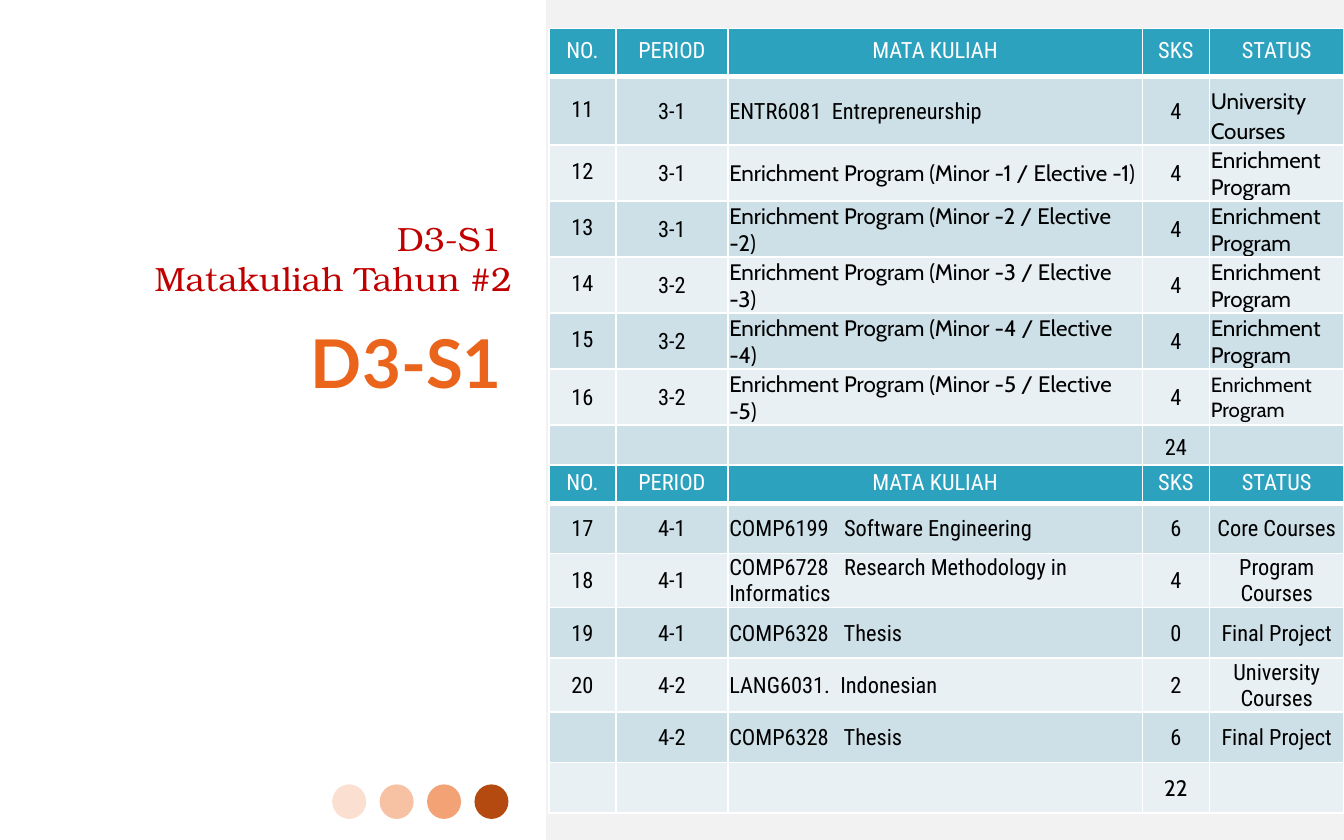
import pptx
import pptx.util
import pptx.dml.color
import pptx.enum.shapes
import pptx.enum.text
import pptx.oxml

Pt = pptx.util.Pt
ALIGN = pptx.enum.text.PP_ALIGN
ANCHOR = pptx.enum.text.MSO_ANCHOR
SHAPE = pptx.enum.shapes.MSO_SHAPE
NS = 'xmlns:a="http://schemas.openxmlformats.org/drawingml/2006/main"'


class Theme:
    panel, white, black = "F2F2F2", "FFFFFF", "000000"
    title, accent = "C00000", "EB641B"
    head, bands = "2DA2BF", ("CDE0E8", "E8F0F4")
    dots = ("FBE0D1", "F7C1A4", "F3A276", "B54A10")
    serif, bold, plain, round = "TeX Gyre Bonum", "Lato", "Roboto Condensed", "Cabin"
    title_size, big_size, cell_size, small_size, gap_size = 18, 36, 12, 11, 18


def color(code):
    return pptx.dml.color.RGBColor.from_string(code)


class Deck:
    def __init__(self, theme, width, height):
        self.theme = theme
        self.file = pptx.Presentation()
        self.file.slide_width, self.file.slide_height = Pt(width), Pt(height)
        self.slide = self.file.slides.add_slide(self.file.slide_layouts[5])

    def style(self, font, name, size, code, bold=False):
        font.name, font.size, font.bold = name, Pt(size), bold
        font.color.rgb = color(code)

    def shape(self, kind, box, code):
        shape = self.slide.shapes.add_shape(kind, *map(Pt, box))
        shape.shadow.inherit = False
        shape.fill.solid()
        shape.fill.fore_color.rgb = color(code)
        shape.line.fill.background()

    def fill_text(self, shape, text, anchor, *font):
        frame = shape.text_frame
        frame.word_wrap = True
        frame.auto_size = pptx.enum.text.MSO_AUTO_SIZE.NONE
        frame.vertical_anchor = anchor
        frame.text = text
        para = frame.paragraphs[0]
        para.alignment = ALIGN.RIGHT
        self.style(para.font, *font)

    def title(self, box, text):
        shape = self.slide.shapes.title
        shape.left, shape.top, shape.width, shape.height = map(Pt, box)
        self.fill_text(shape, text, ANCHOR.BOTTOM,
                       self.theme.serif, self.theme.title_size, self.theme.title)

    def label(self, box, text):
        shape = self.slide.shapes.add_textbox(*map(Pt, box))
        self.fill_text(shape, text, ANCHOR.TOP,
                       self.theme.bold, self.theme.big_size, self.theme.accent, True)

    def border(self, cell, top, bottom):
        props = cell._tc.get_or_add_tcPr()
        widths = {"lnL": 1, "lnR": 1, "lnT": top, "lnB": bottom}
        for spot, (tag, width) in enumerate(widths.items()):
            props.insert(spot, pptx.oxml.parse_xml(
                f'<a:{tag} {NS} w="{Pt(width)}"><a:solidFill>'
                f'<a:srgbClr val="{self.theme.white}"/></a:solidFill></a:{tag}>'))

    def cell(self, cell, text, fill, align, font, tight):
        cell.fill.solid()
        cell.fill.fore_color.rgb = color(fill)
        cell.margin_left = cell.margin_right = Pt(0.7)
        cell.margin_top = Pt(0 if tight else 0.7)
        cell.margin_bottom = 0
        cell.vertical_anchor = ANCHOR.MIDDLE
        para = cell.text_frame.paragraphs[0]
        para.alignment = align
        self.style(para.font, *font)
        if tight:
            para.line_spacing, para.space_before = 0.8, Pt(3)
        # A tuple holds words parted by a larger gap
        if isinstance(text, tuple):
            for part in text:
                run = para.add_run()
                run.text = part
                if part == " ":
                    run.font.name = self.theme.plain
                    run.font.size = Pt(self.theme.gap_size)
        else:
            para.text = text

    def table(self, left, top, cols, heights, rows, last, tight=(), round=(), small=()):
        """The sets tight, round and small hold (row, column) pairs."""
        theme = self.theme
        frame = self.slide.shapes.add_table(
            len(rows), len(cols), Pt(left), Pt(top), Pt(sum(cols)), Pt(sum(heights)))
        grid = frame.table
        for col, width in zip(grid.columns, cols):
            col.width = Pt(width)
        aligns = (ALIGN.CENTER, ALIGN.CENTER, ALIGN.LEFT, ALIGN.CENTER, last)
        for r, (row, height) in enumerate(zip(rows, heights)):
            grid.rows[r].height = Pt(height)
            for c, text in enumerate(row):
                cell, spot, head = grid.cell(r, c), (r, c), r == 0
                font = (theme.round if spot in round else theme.plain,
                        theme.small_size if spot in small else theme.cell_size,
                        theme.white if head else theme.black)
                self.cell(cell, text, theme.head if head else theme.bands[(r - 1) % 2],
                          ALIGN.CENTER if head else aligns[c], font, head or spot in tight)
                self.border(cell, 3 if r == 1 else 1, 3 if head else 1)


def main():
    theme = Theme()
    deck = Deck(theme, 720, 450)

    # Grey panel and row of dots
    deck.shape(SHAPE.RECTANGLE, (292.5, 0, 427.5, 450), theme.panel)
    for i, code in enumerate(theme.dots):
        deck.shape(SHAPE.OVAL, (178 + 25.4 * i, 420.2, 18.2, 18.5), code)

    # Titles
    deck.title((67.5, 101.5, 214, 62), "D3-S1 \vMatakuliah Tahun #2")
    deck.label((62, 168.5, 214, 258.5), "D3-S1")

    # Third year courses
    left, cols = 294, (36, 60, 222, 36, 72)
    head = ("NO.", "PERIOD", "MATA KULIAH", "SKS", "STATUS")
    minors = [(str(11 + n), "3-1" if n < 3 else "3-2",
               f"Enrichment Program (Minor -{n} / Elective -{n})", "4", "Enrichment Program")
              for n in range(1, 6)]
    third = [head,
             ("11", "3-1", "ENTR6081  Entrepreneurship", "4", ("University", " ", "Courses")),
             *minors,
             ("", "", "", "24", "")]
    deck.table(left, 15.2, cols, [26, 36.2] + [29.8] * 5 + [23], third, ALIGN.LEFT,
               tight={(r, 0) for r in range(1, 6)},
               round={(1, 4)} | {(r, c) for r in range(2, 7) for c in (2, 4)},
               small={(6, 4)})

    # Fourth year courses
    fourth = [head,
              ("17", "4-1", "COMP6199   Software Engineering", "6", "Core Courses"),
              ("18", "4-1", "COMP6728   Research Methodology in Informatics", "4",
               "Program Courses"),
              ("19", "4-1", "COMP6328   Thesis", "0", "Final Project"),
              ("20", "4-2", "LANG6031.  Indonesian", "2", "University Courses"),
              ("", "4-2", "COMP6328   Thesis", "6", "Final Project"),
              ("", "", "", "22", "")]
    deck.table(left, 249, cols, [20.5, 27, 29, 27, 29, 27, 27], fourth, ALIGN.CENTER,
               round={(6, 3)})

    deck.file.save("out.pptx")


if __name__ == "__main__":
    main()
